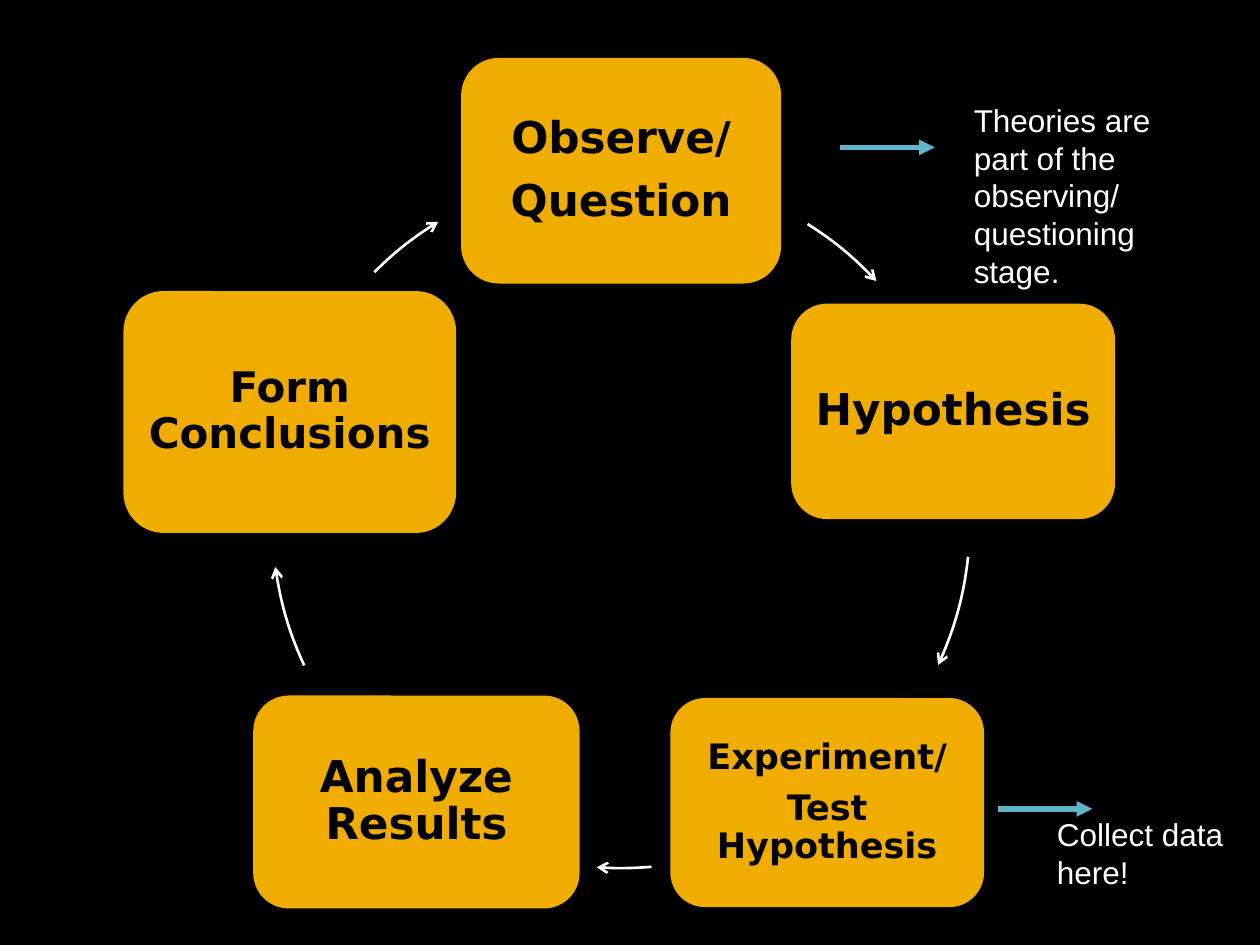
from lxml import etree
from pptx import Presentation, util as u
from pptx.dml.color import RGBColor
from pptx.enum import shapes, text
from pptx.oxml.ns import qn

COLORS = {"background": "000000", "stage": "F0AD00", "stage_text": "000000",
          "cycle": "FFFFFF", "note": "FFFFFF", "pointer": "60B5CC"}
COLUMNS, ROWS = 100, 75
CELL = u.Inches(0.1)

# Paragraphs, font size, then column, row, width and height in cells
STAGES = [
    (["Observe/", "Question"], 25, (36.6, 4.6, 25.4, 17.9)),
    (["Hypothesis"], 25, (62.8, 24.1, 25.7, 17.1)),
    (["Experiment/", "Test Hypothesis"], 20, (53.2, 55.4, 24.9, 16.6)),
    (["Analyze Results"], 25, (20.1, 55.2, 25.9, 16.9)),
    (["Form Conclusions"], 24, (9.8, 23.1, 26.4, 19.2)),
]
CYCLE = (21.6, 13.5, 55.4, 55.4)
# Start and end of each arrow, in degrees clockwise from three o'clock
ARCS = [(302.3, 317), (6.2, 24.7), (85, 94), (155.2, 172.1), (225, 238.4)]
POINTERS = [(66.7, 11.7), (79.2, 64.2)]
POINTER_LENGTH = 7.5
NOTES = [
    ("Theories are part of the observing/ questioning stage.", (76.3, 7.5, 19.9, 13.1)),
    ("Collect data here!", (82.9, 64.2, 19.9, 7.1)),
]


def color(name):
    return RGBColor.from_string(COLORS[name])


def cells(*counts):
    return [round(count * CELL) for count in counts]


def write(shape, paragraphs, *, size, font, fill, bold=False, align=text.PP_ALIGN.LEFT,
          anchor=text.MSO_ANCHOR.TOP, line=1.0, after=0, margin=None):
    """Write one paragraph per string; after is a share of the font size."""
    frame = shape.text_frame
    frame.word_wrap = True
    frame.vertical_anchor = anchor
    if margin is not None:
        frame.margin_left = frame.margin_right = u.Inches(margin)
        frame.margin_top = frame.margin_bottom = u.Inches(margin)
    for index, words in enumerate(paragraphs):
        para = frame.add_paragraph() if index else frame.paragraphs[0]
        para.alignment = align
        para.line_spacing = line
        para.space_after = u.Pt(size * after)
        span = para.add_run()
        span.text = words
        span.font.name = font
        span.font.size = u.Pt(size)
        span.font.bold = bold
        span.font.color.rgb = color(fill)


def style_arrow(shape, name, width, head):
    shape.line.color.rgb = color(name)
    shape.line.width = u.Pt(width)
    outline = shape.line._get_or_add_ln()
    etree.SubElement(outline, qn("a:tailEnd"), type=head)


def add_stage(page, paragraphs, size, place):
    box = page.shapes.add_shape(shapes.MSO_SHAPE.ROUNDED_RECTANGLE, *cells(*place))
    box.shadow.inherit = False
    box.fill.solid()
    box.fill.fore_color.rgb = color("stage")
    box.line.fill.background()
    write(box, paragraphs, size=size, font="DejaVu Sans", fill="stage_text", bold=True,
          align=text.PP_ALIGN.CENTER, anchor=text.MSO_ANCHOR.MIDDLE,
          line=0.9, after=0.37, margin=0.09)


def add_cycle_arrow(page, start, end):
    arc = page.shapes.add_shape(shapes.MSO_SHAPE.ARC, *cells(*CYCLE))
    arc.shadow.inherit = False
    arc.fill.background()
    # An adjustment of 0.6 is one degree
    arc.adjustments[0] = start * 0.6
    arc.adjustments[1] = end * 0.6
    style_arrow(arc, "cycle", 1.5, "arrow")


def add_pointer(page, column, row):
    pointer = page.shapes.add_connector(
        shapes.MSO_CONNECTOR.STRAIGHT, *cells(column, row, column + POINTER_LENGTH, row))
    style_arrow(pointer, "pointer", 3, "triangle")
    etree.SubElement(pointer._element.spPr, qn("a:effectLst"))


def add_note(page, words, place):
    box = page.shapes.add_textbox(*cells(*place))
    write(box, [words], size=18, font="Arial", fill="note")


def main():
    deck = Presentation()
    deck.slide_width, deck.slide_height = cells(COLUMNS, ROWS)
    page = deck.slides.add_slide(deck.slide_layouts[6])
    page.background.fill.solid()
    page.background.fill.fore_color.rgb = color("background")
    for stage, arc in zip(STAGES, ARCS):
        add_stage(page, *stage)
        add_cycle_arrow(page, *arc)
    for pointer, note in zip(POINTERS, NOTES):
        add_pointer(page, *pointer)
        add_note(page, *note)
    deck.save("out.pptx")


if __name__ == "__main__":
    main()
